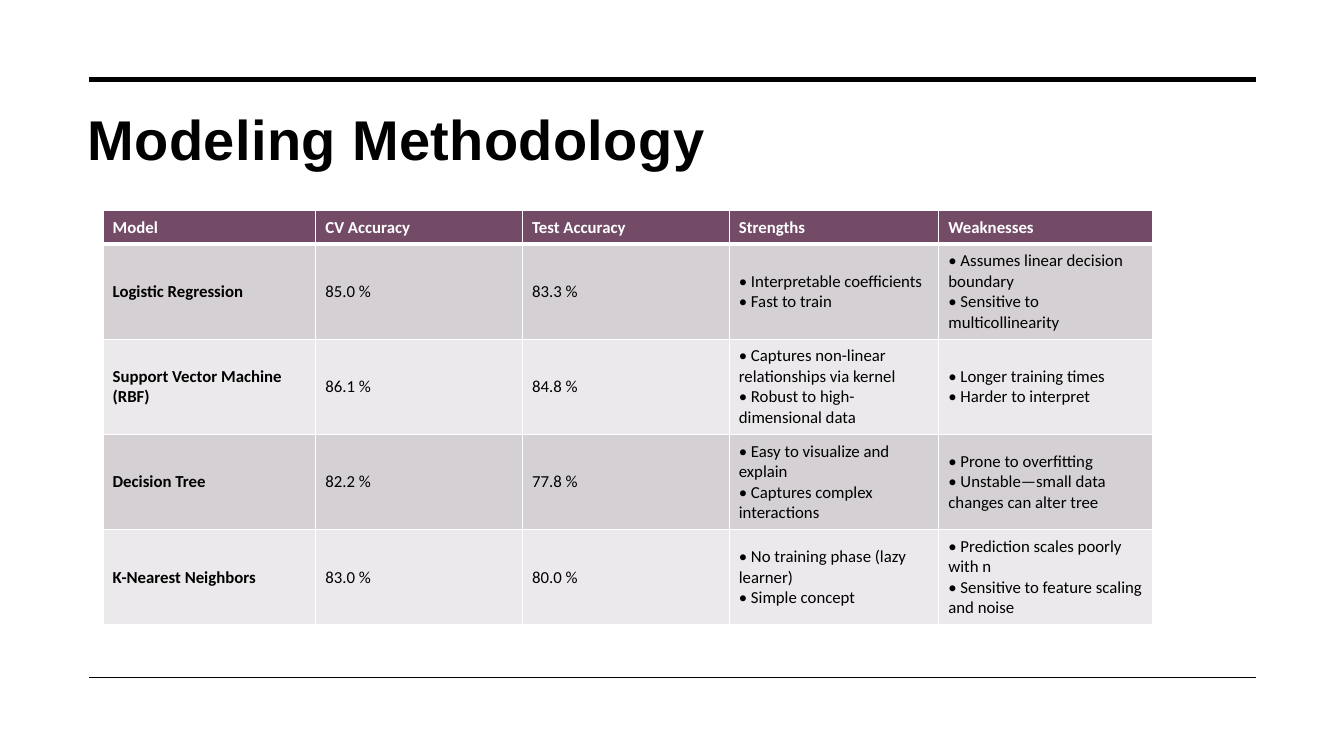
from dataclasses import dataclass

from lxml import etree
from pptx import Presentation
from pptx.dml.color import RGBColor
from pptx.enum import shapes, text
from pptx.oxml import ns
from pptx.util import Cm, Pt


@dataclass(frozen=True)
class Theme:
    black: RGBColor = RGBColor(0x00, 0x00, 0x00)
    white: RGBColor = RGBColor(0xFF, 0xFF, 0xFF)
    header: RGBColor = RGBColor(0x73, 0x4B, 0x67)
    bands: tuple = (RGBColor(0xEB, 0xE9, 0xEB), RGBColor(0xD5, 0xD0, 0xD3))
    title_font: str = "Arial"
    table_font: str = "Calibri"
    title_size: Pt = Pt(40)
    table_size: Pt = Pt(12)


theme = Theme()


def style_font(font, name, size, color, bold):
    font.name = name
    font.size = size
    font.color.rgb = color
    font.bold = bold


def set_borders(cell, bottom_width):
    """Draw white borders, which must come before the fill in the cell's XML."""
    properties = cell._tc.get_or_add_tcPr()
    widths = {"lnL": Pt(1), "lnR": Pt(1), "lnT": Pt(1), "lnB": bottom_width}
    for position, (side, width) in enumerate(widths.items()):
        border = etree.Element(ns.qn(f"a:{side}"), w=str(width))
        fill = etree.SubElement(border, ns.qn("a:solidFill"))
        etree.SubElement(fill, ns.qn("a:srgbClr"), val=str(theme.white))
        properties.insert(position, border)


deck = Presentation()
deck.slide_width = Cm(33.87)
deck.slide_height = Cm(19.05)
page = deck.slides.add_slide(deck.slide_layouts.get_by_name("Title Only"))

# Title
title = page.shapes.title
title.left, title.top, title.width, title.height = Cm(1.96), Cm(2.51), Cm(29.69), Cm(3.2)
frame = title.text_frame
frame.text = "Modeling Methodology"
frame.auto_size = text.MSO_AUTO_SIZE.NONE
frame.vertical_anchor = text.MSO_ANCHOR.TOP
para = frame.paragraphs[0]
para.alignment = text.PP_ALIGN.LEFT
para.space_after = Pt(6)
span = para.runs[0]
style_font(span.font, theme.title_font, theme.title_size, theme.black, True)
span._r.get_or_add_rPr().set("spc", "30")

# Rules above and below the content
for y, weight in ((Cm(2.01), Pt(3.5)), (Cm(17.07), Pt(1))):
    rule = page.shapes.add_connector(
        shapes.MSO_CONNECTOR.STRAIGHT, Cm(2.24), y, Cm(31.65), y)
    rule.line.color.rgb = theme.black
    rule.line.width = weight
    etree.SubElement(rule._element.spPr, ns.qn("a:effectLst"))

# Model comparison; \v breaks the line inside a cell
rows = [
    ("Model", "CV Accuracy", "Test Accuracy", "Strengths", "Weaknesses"),
    ("Logistic Regression", "85.0 %", "83.3 %",
     "• Interpretable coefficients\v• Fast to train",
     "• Assumes linear decision boundary\v• Sensitive to multicollinearity"),
    ("Support Vector Machine (RBF)", "86.1 %", "84.8 %",
     "• Captures non-linear relationships via kernel\v• Robust to high-dimensional data",
     "• Longer training times\v• Harder to interpret"),
    ("Decision Tree", "82.2 %", "77.8 %",
     "• Easy to visualize and explain\v• Captures complex interactions",
     "• Prone to overfitting\v• Unstable—small data changes can alter tree"),
    ("K-Nearest Neighbors", "83.0 %", "80.0 %",
     "• No training phase (lazy learner)\v• Simple concept",
     "• Prediction scales poorly with n\v• Sensitive to feature scaling and noise"),
]
column_widths = [Cm(5.36), Cm(5.21), Cm(5.21), Cm(5.28), Cm(5.38)]
row_heights = [Cm(0.84)] + [Cm(2.4)] * (len(rows) - 1)

table = page.shapes.add_table(
    len(rows), len(column_widths), Cm(2.6), Cm(5.31),
    sum(column_widths), sum(row_heights)).table
table.horz_banding = False
for column, width in zip(table.columns, column_widths):
    column.width = width

for row_index, values in enumerate(rows):
    table.rows[row_index].height = row_heights[row_index]
    is_header = row_index == 0
    for column_index, value in enumerate(values):
        cell = table.cell(row_index, column_index)
        cell.vertical_anchor = text.MSO_ANCHOR.MIDDLE
        cell.margin_left = cell.margin_right = Cm(0.24)
        cell.margin_top = cell.margin_bottom = Cm(0.12)
        cell.fill.solid()
        cell.fill.fore_color.rgb = theme.header if is_header else theme.bands[row_index % 2]
        set_borders(cell, Pt(3) if is_header else Pt(1))
        para = cell.text_frame.paragraphs[0]
        para.text = value
        for span in para.runs:
            style_font(span.font, theme.table_font, theme.table_size,
                       theme.white if is_header else theme.black,
                       is_header or column_index == 0)

deck.save("out.pptx")
